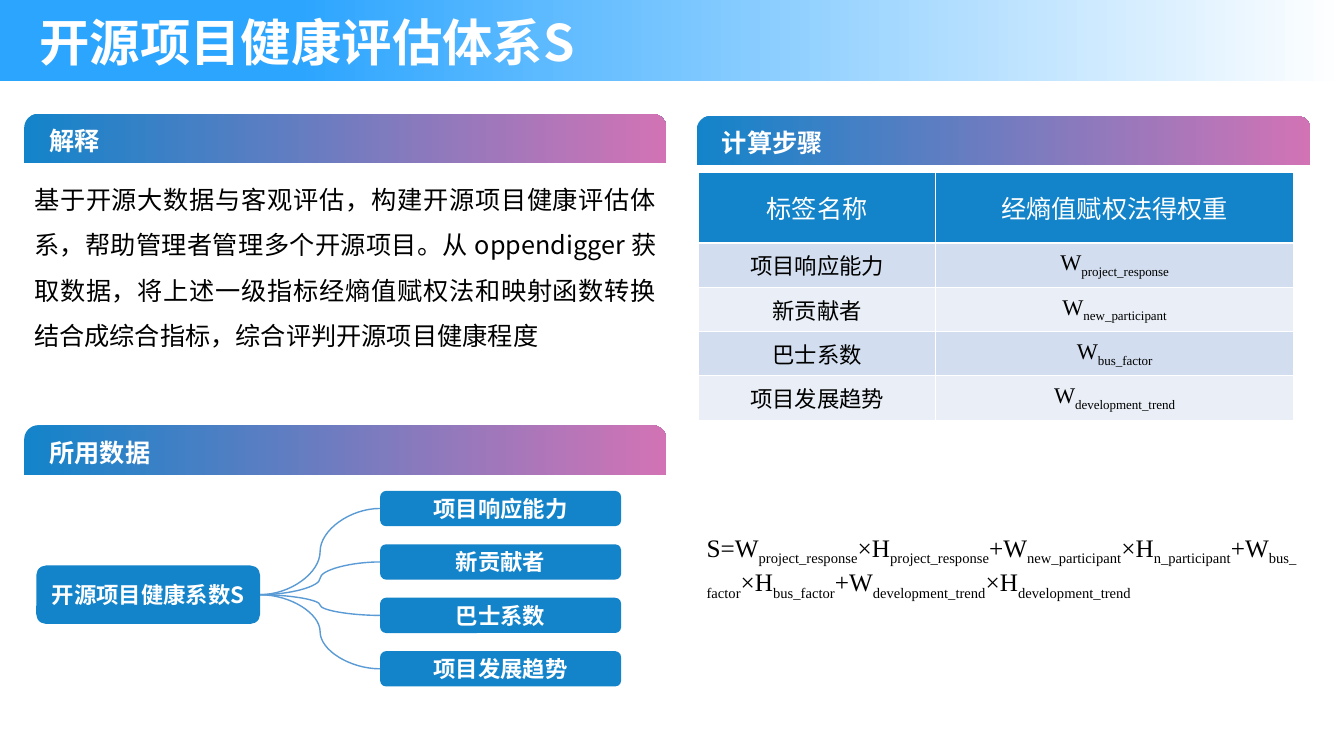
from pptx import Presentation
from pptx.dml.color import RGBColor
from pptx.enum.shapes import MSO_CONNECTOR, MSO_SHAPE
from pptx.enum.text import MSO_ANCHOR, PP_ALIGN
from pptx.oxml.ns import qn
from pptx.util import Inches, Pt
from lxml.etree import SubElement

SANS, SERIF = "Noto Sans CJK SC", "Times New Roman"
BLUE, PINK, WHITE, BLACK = "1384CA", "D273B5", "FFFFFF", "000000"
INDICATORS = [
    ("项目响应能力", "project_response"),
    ("新贡献者", "new_participant"),
    ("巴士系数", "bus_factor"),
    ("项目发展趋势", "development_trend"),
]


def color(hex_code):
    return RGBColor.from_string(hex_code)


def style(paragraph, size, ink, face=SANS, bold=False, align=PP_ALIGN.LEFT):
    paragraph.alignment = align
    font = paragraph.font
    font.size, font.bold, font.name = Pt(size), bold, face
    font.color.rgb = color(ink)
    defaults = paragraph._p.pPr.find(qn("a:defRPr"))
    SubElement(defaults, qn("a:ea")).set("typeface", face)


def add_subscripted(paragraph, pieces):
    """Write pieces in turn as plain text and subscript."""
    for index, piece in enumerate(pieces):
        run = paragraph.add_run()
        run.text = piece
        if index % 2:
            run._r.get_or_add_rPr().set("baseline", "-25000")


def add_block(slide, preset, left, top, width, height):
    block = slide.shapes.add_shape(
        preset, Inches(left), Inches(top), Inches(width), Inches(height))
    block.shadow.inherit = False
    block.line.fill.background()
    return block


def fill_across(block, start, end, start_at=0):
    block.fill.gradient()
    block.fill.gradient_angle = 0
    stops = block.fill.gradient_stops
    for stop, position, hex_code in zip(stops, (start_at, 1), (start, end)):
        stop.position = position
        stop.color.rgb = color(hex_code)


def add_text(slide, left, top, width, height):
    frame = slide.shapes.add_textbox(
        Inches(left), Inches(top), Inches(width), Inches(height)).text_frame
    frame.word_wrap = True
    return frame.paragraphs[0]


def add_banner(slide, width):
    banner = add_block(slide, MSO_SHAPE.RECTANGLE, 0, 0, width, 0.8)
    fill_across(banner, "2CA5FF", WHITE, 0.22)
    title = add_text(slide, 0.29, 0.06, 8.19, 0.71)
    title.text = "开源项目健康评估体系S"
    style(title, 36, WHITE, bold=True)


def add_heading(slide, text, left, top, width):
    heading = add_block(slide, MSO_SHAPE.ROUND_2_SAME_RECTANGLE,
                        left, top, width, 0.49)
    heading.adjustments[0] = 0.28
    fill_across(heading, BLUE, PINK)
    frame = heading.text_frame
    frame.margin_left = Inches(0.21)
    frame.vertical_anchor = MSO_ANCHOR.MIDDLE
    frame.text = text
    style(frame.paragraphs[0], 18, WHITE, bold=True)


def add_explanation(slide, left, top, width):
    add_heading(slide, "解释", left, top, width)
    body = add_text(slide, left, top + 0.5, width, 1.21)
    body.text = ("基于开源大数据与客观评估，构建开源项目健康评估体系，"
                 "帮助管理者管理多个开源项目。从 oppendigger 获取数据，"
                 "将上述一级指标经熵值赋权法和映射函数转换结合成综合指标，"
                 "综合评判开源项目健康程度")
    body.line_spacing = 1.5
    style(body, 18, BLACK, align=PP_ALIGN.JUSTIFY)


def add_node(slide, text, left, top, width, height):
    node = add_block(slide, MSO_SHAPE.ROUNDED_RECTANGLE, left, top, width, height)
    node.fill.solid()
    node.fill.fore_color.rgb = color(BLUE)
    node.text_frame.vertical_anchor = MSO_ANCHOR.MIDDLE
    node.text_frame.text = text
    style(node.text_frame.paragraphs[0], 16, WHITE, bold=True,
          align=PP_ALIGN.CENTER)
    return node


def add_data_tree(slide, left, top, width):
    add_heading(slide, "所用数据", left, top, width)
    root = add_node(slide, "开源项目健康系数S", left + 0.12, top + 1.39, 2.22, 0.58)
    for index, (label, _) in enumerate(INDICATORS):
        leaf = add_node(slide, label, left + 3.53, top + 0.65 + index * 0.53,
                        2.39, 0.35)
        branch = slide.shapes.add_connector(MSO_CONNECTOR.CURVE, 0, 0, 0, 0)
        branch.begin_connect(root, 3)
        branch.end_connect(leaf, 1)
        branch.line.color.rgb = color("5B9BD5")
        branch.line.width = Pt(1)
        SubElement(branch._element.spPr, qn("a:effectLst"))


def fill_cell(cell, pieces, fill, size, ink, face=SANS):
    cell.fill.solid()
    cell.fill.fore_color.rgb = color(fill)
    cell.vertical_anchor = MSO_ANCHOR.MIDDLE
    paragraph = cell.text_frame.paragraphs[0]
    add_subscripted(paragraph, pieces)
    style(paragraph, size, ink, face, align=PP_ALIGN.CENTER)


def add_weight_table(slide, left, top):
    table = slide.shapes.add_table(
        len(INDICATORS) + 1, 2, Inches(left), Inches(top),
        Inches(5.9), Inches(2.46)).table
    for column, width in zip(table.columns, (2.35, 3.55)):
        column.width = Inches(width)
    for row, height in zip(table.rows, [0.7] + [0.44] * len(INDICATORS)):
        row.height = Inches(height)
    for column, title in enumerate(("标签名称", "经熵值赋权法得权重")):
        fill_cell(table.cell(0, column), [title], BLUE, 18, WHITE)
    for row, (label, key) in enumerate(INDICATORS, 1):
        band = "D2DEEF" if row % 2 else "EAEFF7"
        fill_cell(table.cell(row, 0), [label], band, 16, BLACK)
        fill_cell(table.cell(row, 1), ["W", key], band, 16, BLACK, SERIF)


def add_calculation(slide, left, top, width):
    add_heading(slide, "计算步骤", left, top, width)
    add_weight_table(slide, left + 0.02, top + 0.56)
    formula = add_text(slide, left, top + 4.08, width, 0.71)
    add_subscripted(formula, [
        "S=W", "project_response", "×H", "project_response",
        "+W", "new_participant", "×H", "n_participant",
        "+W", "bus_factor", "×H", "bus_factor",
        "+W", "development_trend", "×H", "development_trend"])
    style(formula, 18, BLACK, SERIF)


def main():
    deck = Presentation()
    deck.slide_width, deck.slide_height = Inches(13.33), Inches(7.5)
    slide = deck.slides.add_slide(deck.slide_layouts[6])
    add_banner(slide, 13.33)
    add_explanation(slide, 0.24, 1.13, 6.37)
    add_data_tree(slide, 0.24, 4.22, 6.37)
    add_calculation(slide, 6.91, 1.15, 6.09)
    deck.save("out.pptx")


if __name__ == "__main__":
    main()
